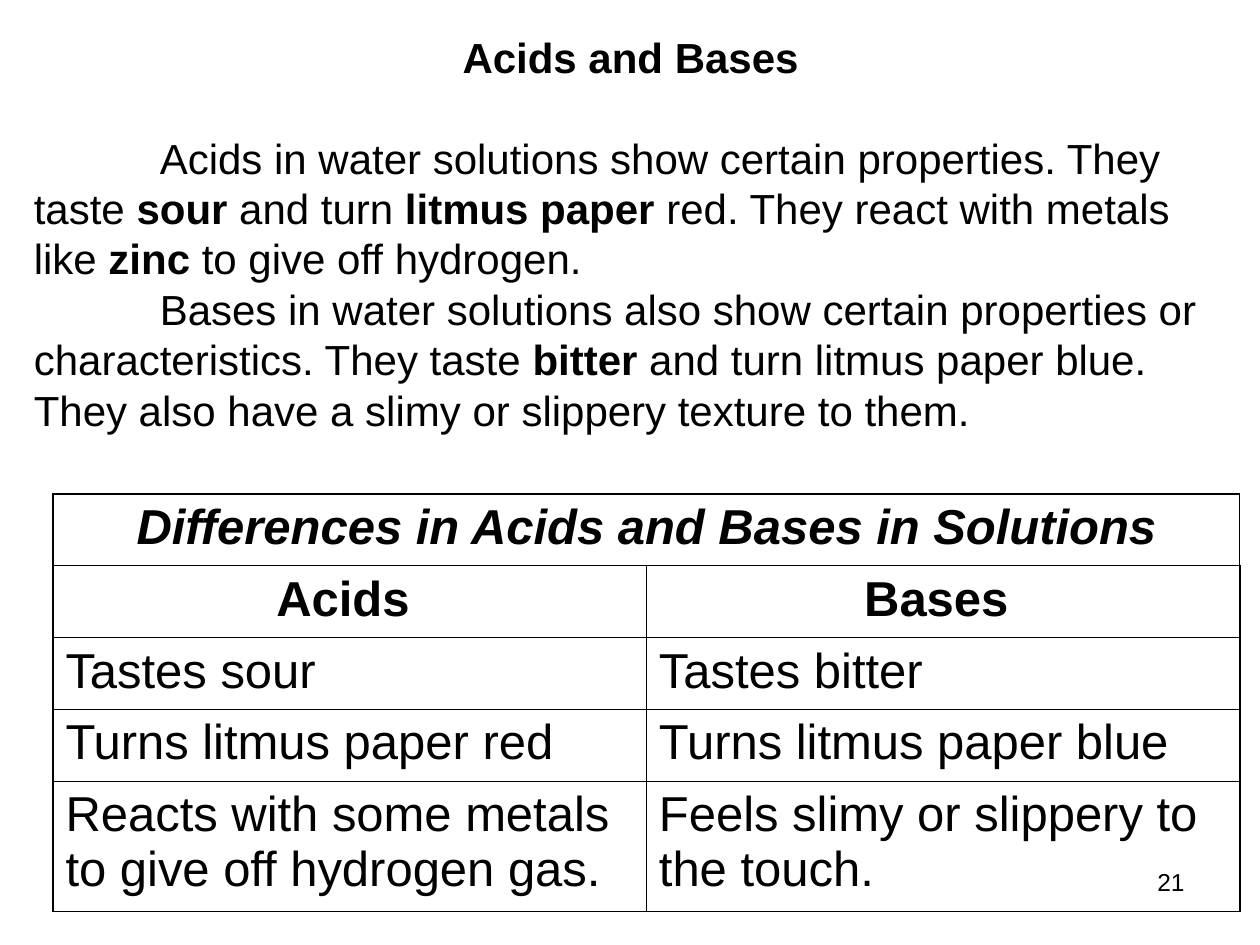
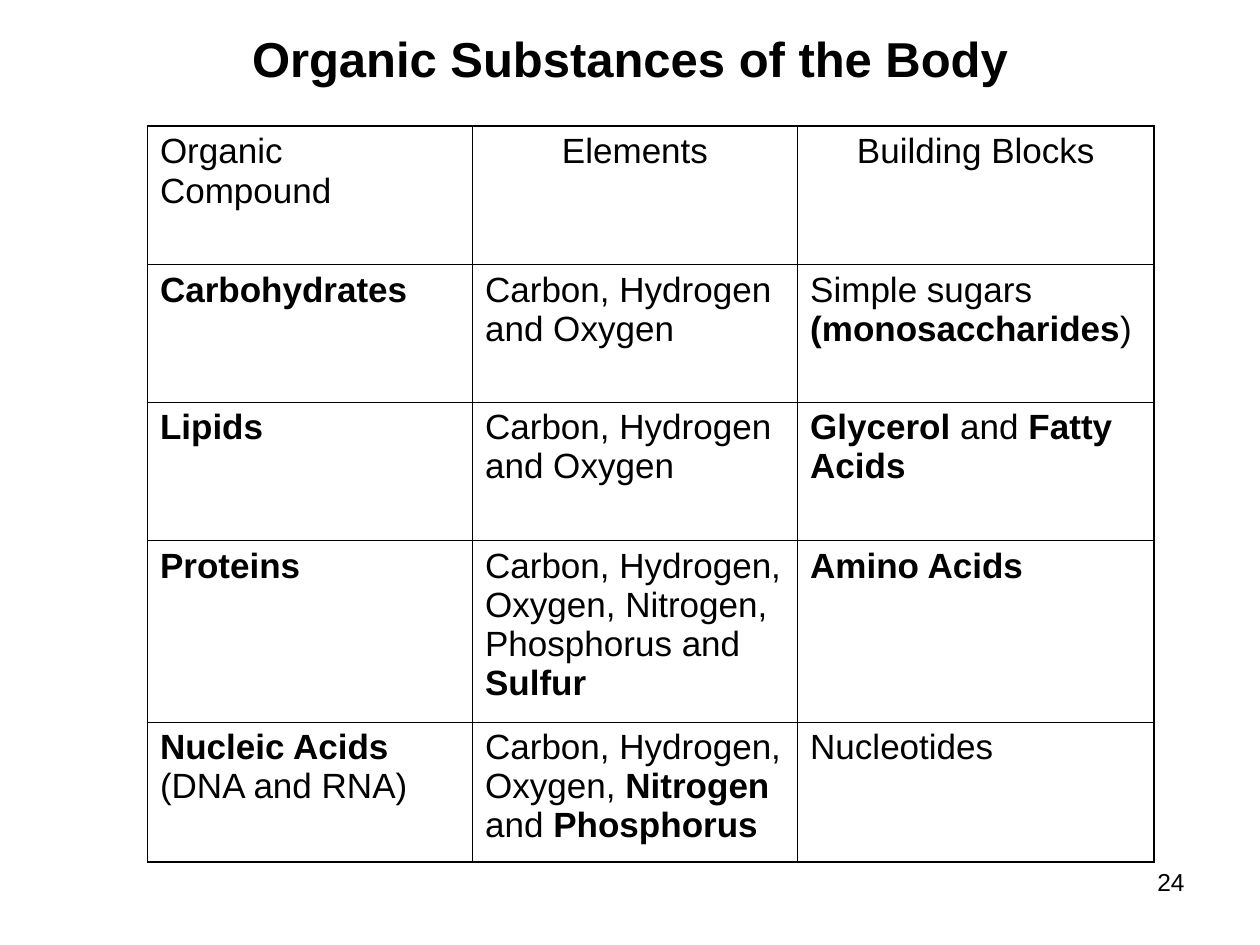
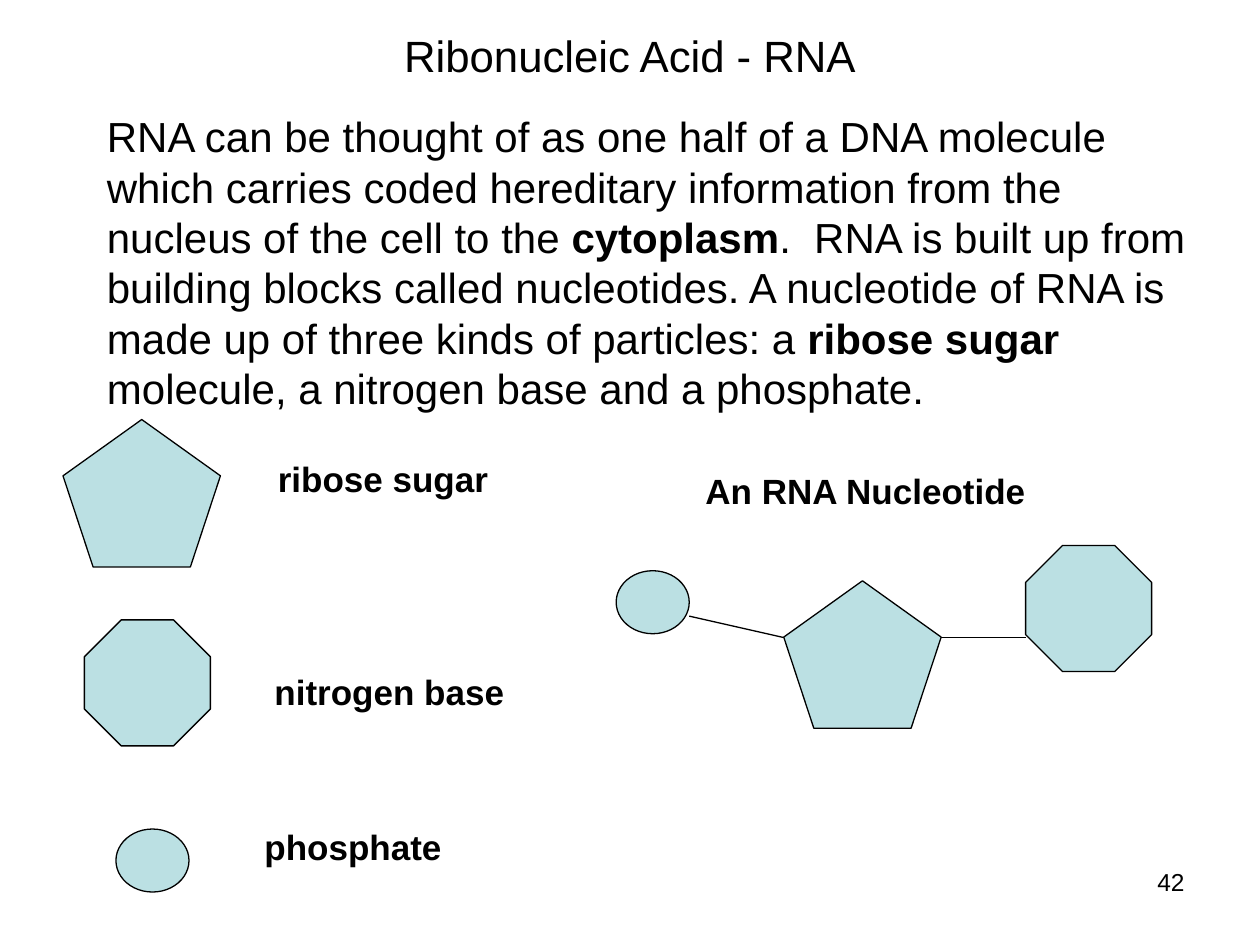
from pptx import Presentation
from pptx.dml.color import RGBColor
from pptx.enum.shapes import MSO_CONNECTOR, MSO_SHAPE
from pptx.enum.text import MSO_ANCHOR, PP_ALIGN
from pptx.oxml.ns import qn
from pptx.util import Inches, Pt
from lxml import etree

BLACK = RGBColor(0x00, 0x00, 0x00)
PALE_TEAL = RGBColor(0xBB, 0xE0, 0xE3)
FONT = "Arial"
LINE_HEIGHT = 1.2
OUTER_WIDTH, INNER_WIDTH = 1.08, 0.45

LEFT, CENTER, RIGHT = PP_ALIGN.LEFT, PP_ALIGN.CENTER, PP_ALIGN.RIGHT
TOP, MIDDLE = MSO_ANCHOR.TOP, MSO_ANCHOR.MIDDLE
PENTAGON, OCTAGON, OVAL = (
    MSO_SHAPE.REGULAR_PENTAGON, MSO_SHAPE.OCTAGON, MSO_SHAPE.OVAL)
STRAIGHT = MSO_CONNECTOR.STRAIGHT

# Content: ** switches bold on and off
ACIDS_TITLE = "**Acids and Bases**"
ACIDS_TEXT = [
    "Acids in water solutions show certain properties. They taste **sour** and "
    "turn **litmus paper** red. They react with metals like **zinc **to give "
    "off hydrogen.",
    "Bases in water solutions also show certain properties or characteristics. "
    "They taste **bitter** and turn litmus paper blue. They also have a slimy "
    "or slippery texture to them.",
]
ACIDS_TABLE = [
    ("**Differences in Acids and Bases in Solutions**", ""),
    ("**Acids **", "**Bases **"),
    ("Tastes sour", "Tastes bitter"),
    ("Turns litmus paper red", "Turns litmus paper blue"),
    ("Reacts with some metals to give off hydrogen gas.",
     "Feels slimy or slippery to the touch."),
]
ORGANIC_TITLE = "**Organic Substances of the Body**"
ORGANIC_TABLE = [
    ("Organic Compound", "Elements", "Building Blocks"),
    ("**Carbohydrates**", "Carbon, Hydrogen and Oxygen",
     "Simple sugars\n**(monosaccharides**)"),
    ("**Lipids**", "Carbon, Hydrogen and Oxygen",
     "**Glycerol** and **Fatty Acids**"),
    ("**Proteins**",
     "Carbon, Hydrogen, Oxygen, Nitrogen, Phosphorus and **Sulfur**",
     "**Amino Acids**"),
    ("**Nucleic Acids**\n(DNA and RNA)",
     "Carbon, Hydrogen, Oxygen, **Nitrogen **and** Phosphorus**",
     "Nucleotides"),
]
RNA_TITLE = "Ribonucleic Acid - RNA"
RNA_TEXT = (
    "RNA can be thought of as one half of a DNA molecule which carries coded "
    "hereditary information from the nucleus of the cell to the **cytoplasm**.  "
    "RNA is built up from building blocks called nucleotides. A nucleotide of "
    "RNA is made up of three kinds of particles: a **ribose sugar **molecule, "
    "a nitrogen base and a phosphate.")
RNA_LABELS = [
    ("**ribose sugar**", (2, 3.58, 2.08, 0.44), CENTER),
    ("**nitrogen base**", (2.08, 5.27, 2.33, 0.44), LEFT),
    ("**phosphate**", (2, 6.5, 1.75, 0.44), LEFT),
    ("**An RNA Nucleotide**", (5.5, 3.68, 3.08, 0.44), LEFT),
]
# Each particle: kind, size, place in the key, place in the nucleotide
PARTICLES = [
    (OCTAGON, (1, 1), (0.67, 4.92), (8.14, 4.33)),
    (PENTAGON, (1.25, 1.17), (0.5, 3.33), (6.22, 4.61)),
    (OVAL, (0.58, 0.5), (0.92, 6.58), (4.89, 4.53)),
]
BONDS = [(7.47, 5.06, 8.14, 5.06), (5.47, 4.89, 6.22, 5.06)]


def inches(values):
    return [Inches(value) for value in values]


def write(para, text, size, align=LEFT, italic=False):
    para.alignment = align
    style = {"name": FONT, "size": Pt(size), "italic": italic}
    for index, part in enumerate(text.split("**")):
        for line_index, line in enumerate(part.split("\n")):
            if line_index:
                para.add_line_break()
            if line:
                span = para.add_run()
                span.text = line
                for name, value in {**style, "bold": index % 2 == 1}.items():
                    setattr(span.font, name, value)
                span.font.color.rgb = BLACK


def add_text(page, text, place, size, align=LEFT, anchor=TOP):
    frame = page.shapes.add_textbox(*inches(place)).text_frame
    frame.word_wrap = True
    frame.vertical_anchor = anchor
    para = frame.paragraphs[0]
    para.line_spacing = Pt(size * LINE_HEIGHT)
    write(para, text, size, align)
    return frame


def add_page(deck, number):
    page = deck.slides.add_slide(deck.slide_layouts[6])
    return page, lambda: add_text(
        page, str(number), (7.17, 6.83, 2.33, 0.52), 14, RIGHT)


def set_border(cell, side, width):
    line = etree.SubElement(cell._tc.get_or_add_tcPr(), qn("a:ln" + side),
                            w=str(Pt(width)))
    fill = etree.SubElement(line, qn("a:solidFill"))
    etree.SubElement(fill, qn("a:srgbClr"), val=str(BLACK))


def add_grid(page, rows, place, widths, heights, size, centered, merged=False):
    table = page.shapes.add_table(
        len(rows), len(widths), *inches(place),
        Inches(sum(widths)), Inches(sum(heights))).table
    table.first_row = table.horz_banding = False
    for column, width in zip(table.columns, widths):
        column.width = Inches(width)
    last_row, last_column = len(rows) - 1, len(widths) - 1
    for r, (texts, height) in enumerate(zip(rows, heights)):
        table.rows[r].height = Inches(height)
        for c, text in enumerate(texts):
            cell = table.cell(r, c)
            on_edge = {"L": c == 0, "R": c == last_column,
                       "T": r == 0, "B": r == last_row}
            for side, outer in on_edge.items():
                set_border(cell, side, OUTER_WIDTH if outer else INNER_WIDTH)
            cell.fill.background()
            write(cell.text_frame.paragraphs[0], text, size,
                  CENTER if (r, c) in centered else LEFT, merged and r == 0)
    if merged:
        table.cell(0, 0).merge(table.cell(0, last_column))


def add_particle(page, kind, size, place):
    shape = page.shapes.add_shape(kind, *inches(place + size))
    shape.shadow.inherit = False
    shape.fill.solid()
    shape.fill.fore_color.rgb = PALE_TEAL
    shape.line.color.rgb = BLACK
    shape.line.width = Pt(0.75)


def add_bond(page, ends):
    bond = page.shapes.add_connector(STRAIGHT, *inches(ends))
    bond.line.color.rgb = BLACK
    bond.line.width = Pt(0.75)
    etree.SubElement(bond._element.spPr, qn("a:effectLst"))


def build_acids(deck):
    page, add_number = add_page(deck, 21)
    frame = add_text(page, ACIDS_TITLE, (0.17, 0.2, 9.67, 3.3), 24, CENTER)
    for index, text in enumerate(ACIDS_TEXT):
        para = frame.add_paragraph()
        para._p.get_or_add_pPr().set("indent", str(Inches(1)))
        para.line_spacing = Pt(24 * LINE_HEIGHT)
        para.space_before = Pt(0 if index else 24 * LINE_HEIGHT)
        write(para, text, 24)
    add_grid(page, ACIDS_TABLE, (0.42, 3.92), [4.71] * 2, [0.57] * 4 + [1.03],
             28, {(0, 0), (1, 0), (1, 1)}, merged=True)
    add_number()


def build_organic(deck):
    page, add_number = add_page(deck, 24)
    add_grid(page, ORGANIC_TABLE, (1.17, 1), [2.58, 2.58, 2.83],
             [1.1, 1.09, 1.1, 1.44, 1.11], 20, {(0, 1), (0, 2)})
    add_text(page, ORGANIC_TITLE, (0, 0.18, 10, 0.57), 28, CENTER)
    add_number()


def build_rna(deck):
    page, add_number = add_page(deck, 42)
    add_text(page, RNA_TITLE, (0.5, 0.17, 9, 0.53), 25, CENTER, MIDDLE)
    add_text(page, RNA_TEXT, (0.75, 0.83, 8.92, 2.5), 24)
    for kind, size, *places in PARTICLES:
        for place in places:
            add_particle(page, kind, size, place)
    for ends in BONDS:
        add_bond(page, ends)
    for text, place, align in RNA_LABELS:
        add_text(page, text, place, 20, align)
    add_number()


def main():
    deck = Presentation()
    deck.slide_width, deck.slide_height = Inches(10), Inches(7.5)
    for build in (build_acids, build_organic, build_rna):
        build(deck)
    deck.save("out.pptx")


if __name__ == "__main__":
    main()
